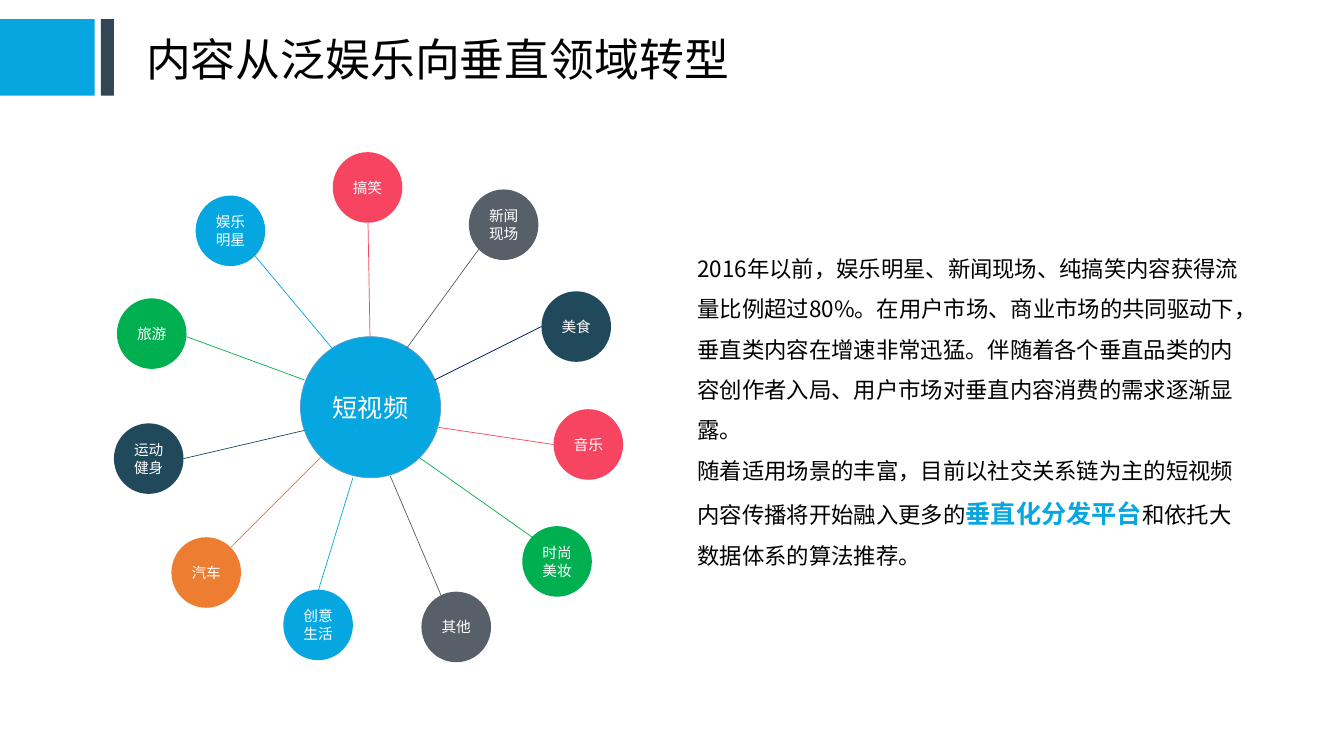
from lxml import etree
from pptx import Presentation
from pptx.dml.color import RGBColor
from pptx.enum.shapes import MSO_CONNECTOR, MSO_SHAPE
from pptx.enum.text import MSO_ANCHOR, PP_ALIGN
from pptx.oxml.ns import qn
from pptx.util import Emu, Pt

RECT, OVAL = MSO_SHAPE.RECTANGLE, MSO_SHAPE.OVAL
STRAIGHT = MSO_CONNECTOR.STRAIGHT
MIDDLE, CENTER = MSO_ANCHOR.MIDDLE, PP_ALIGN.CENTER
PX = 9144
FONT = "Noto Sans CJK SC"
BLUE, GREEN, RED, ORANGE = "06A7E1", "00B050", "F74461", "ED7D31"
TEAL, GRAY, NAVY, SLATE = "204A5C", "576069", "002060", "324655"
WHITE, BLACK = "FFFFFF", "000000"
NODE_SIZE = (69, 70)

TOPICS = [
    ("汽车", (170, 533), ORANGE, ORANGE, (229, 543), (318, 454)),
    ("旅游", (116, 296), GREEN, GREEN, (185, 334), (302, 377)),
    ("运动健身", (113, 420), TEAL, TEAL, (182, 455), (302, 427)),
    ("音乐", (549, 406), RED, RED, (549, 441), (435, 424)),
    ("创意生活", (281, 585), BLUE, BLUE, (316, 585), (350, 474)),
    ("时尚美妆", (518, 522), GREEN, GREEN, (528, 533), (416, 454)),
    ("美食", (537, 289), TEAL, NAVY, (537, 324), (431, 377)),
    ("新闻现场", (465, 188), GRAY, GRAY, (475, 247), (403, 346)),
    ("搞笑", (330, 151), RED, RED, (365, 221), (367, 334)),
    ("娱乐明星", (194, 194), BLUE, BLUE, (253, 254), (329, 345)),
    ("其他", (418, 587), GRAY, GRAY, (438, 592), (387, 472)),
]

BODY = [
    [("2016年以前，娱乐明星、新闻现场、纯搞笑内容获得流量比例超过80%。"
      "在用户市场、商业市场的共同驱动下，垂直类内容在增速非常迅猛。"
      "伴随着各个垂直品类的内容创作者入局、用户市场对垂直内容消费的需求逐渐显露。", {})],
    [("随着适用场景的丰富，目前以社交关系链为主的短视频内容传播将开始融入更多的", {}),
     ("垂直化分发平台", {"size": 18, "color": BLUE, "bold": True}),
     ("和依托大数据体系的算法推荐。", {})],
]


def emu(*lengths):
    return [Emu(n * PX) for n in lengths]


def rgb(value):
    return RGBColor.from_string(value)


def add_run(p, text, size=16, color=BLACK, bold=False):
    r = p.add_run()
    r.text = text
    r.font.size = Pt(size)
    r.font.bold = bold
    r.font.color.rgb = rgb(color)
    r.font.name = FONT
    etree.SubElement(r.font._element, qn("a:ea"), typeface=FONT)


def add_shape(s, kind, x, y, w, h, fill, line=None):
    sp = s.shapes.add_shape(kind, *emu(x, y, w, h))
    sp.shadow.inherit = False
    sp.fill.solid()
    sp.fill.fore_color.rgb = rgb(fill)
    if line:
        sp.line.color.rgb = rgb(line)
        sp.line.width = Pt(0.5)
    else:
        sp.line.fill.background()
    return sp


def add_circle(s, label, x, y, w, h, fill, size, inset, line=None):
    tf = add_shape(s, OVAL, x, y, w, h, fill, line).text_frame
    tf.word_wrap = True
    tf.vertical_anchor = MIDDLE
    tf.margin_left, tf.margin_right = emu(inset, inset)
    tf.margin_top = tf.margin_bottom = 0
    p = tf.paragraphs[0]
    p.alignment = CENTER
    add_run(p, label, size=size, color=WHITE)


def add_spoke(s, start, end, color):
    c = s.shapes.add_connector(STRAIGHT, *emu(*start, *end))
    c.line.color.rgb = rgb(color)
    c.line.width = Pt(0.5)
    etree.SubElement(c._element.spPr, qn("a:effectLst"))


def add_text(s, x, y, w, h, paragraphs, margins=(10, 5), spacing=None):
    tf = s.shapes.add_textbox(*emu(x, y, w, h)).text_frame
    tf.word_wrap = True
    side, end = emu(*margins)
    tf.margin_left = tf.margin_right = side
    tf.margin_top = tf.margin_bottom = end
    for i, runs in enumerate(paragraphs):
        p = tf.add_paragraph() if i else tf.paragraphs[0]
        if spacing:
            p.line_spacing = spacing
        for text, style in runs:
            add_run(p, text, **style)


def main():
    prs = Presentation()
    prs.slide_width, prs.slide_height = emu(1333, 750)
    s = prs.slides.add_slide(prs.slide_layouts[6])

    add_shape(s, RECT, 0, 19, 94, 76, BLUE)
    add_shape(s, RECT, 100, 19, 13, 76, SLATE)
    title = [[("内容从泛娱乐向垂直领域转型", {"size": 32})]]
    add_text(s, 138, 27, 730, 61, title, margins=(7, 4))
    add_text(s, 682, 235, 560, 338, BODY, spacing=1.5)

    add_circle(s, "短视频", 298, 334, 139, 140, BLUE, 18, 0, line="5B9BD5")
    for label, corner, fill, line, start, end in TOPICS:
        add_circle(s, label, *corner, *NODE_SIZE, fill, 10.5, 7)
        add_spoke(s, start, end, line)

    prs.save("out.pptx")


if __name__ == "__main__":
    main()
